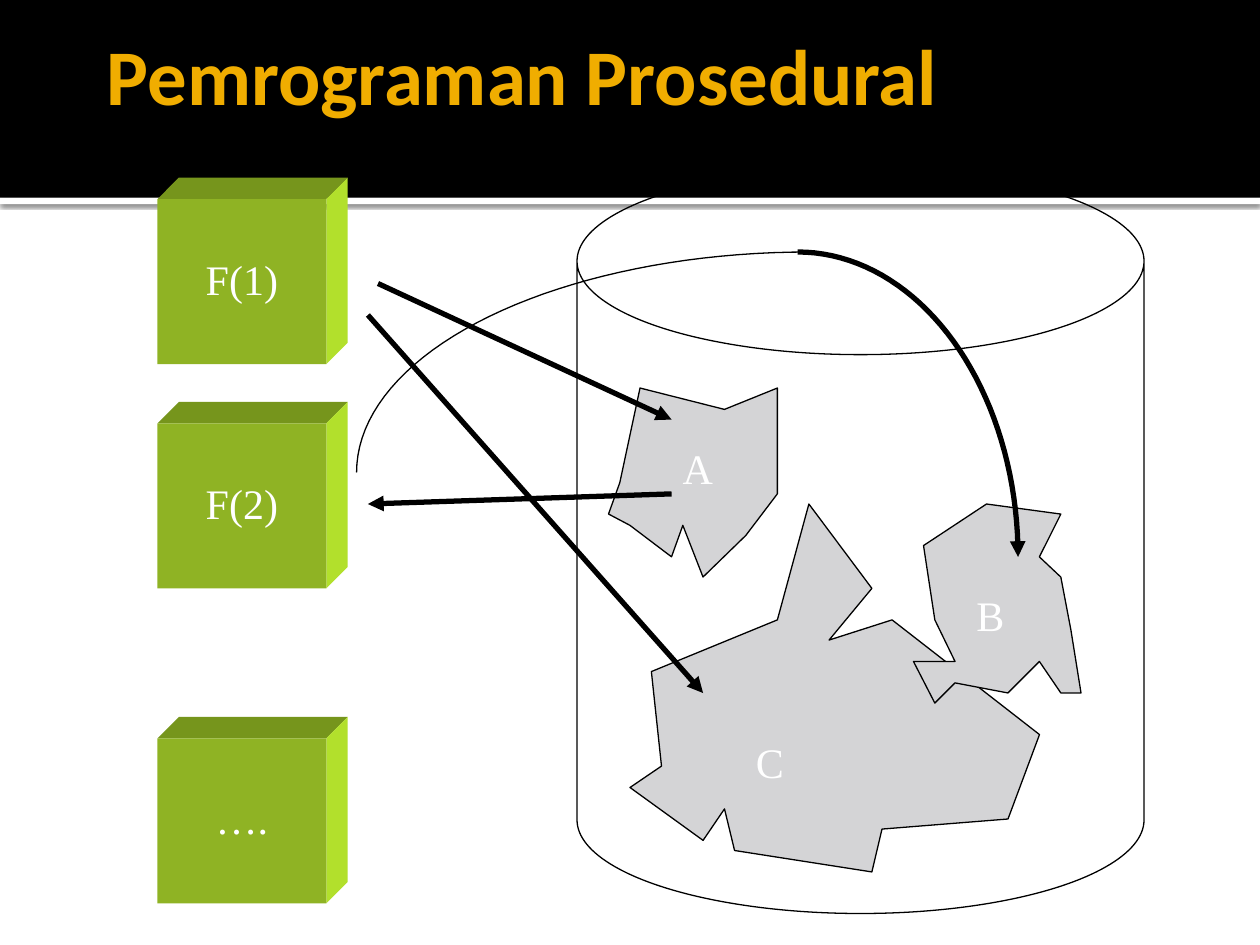
from dataclasses import dataclass
from math import cos, pi, sin

from lxml import etree
from pptx import Presentation
from pptx import util as u
from pptx.dml.color import RGBColor
from pptx.enum import shapes, text
from pptx.oxml.ns import qn

Point = tuple[float, float]
COLORS = {
    "black": "000000",
    "white": "FFFFFF",
    "gold": "F0AD00",
    "gray": "D4D4D6",
    "face": "8FB324",
    "top": "76951C",
    "side": "B2E02C",
}
SERIF = "Times New Roman"
DEPTH = 0.17


@dataclass
class Cube:
    name: str
    y: float
    x: float = 1.25
    w: float = 1.34
    h: float = 1.31


@dataclass
class Blob:
    points: list[Point]


@dataclass
class Label:
    name: str
    x: float
    y: float
    w: float


@dataclass
class Arrow:
    start: Point
    end: Point


@dataclass
class Curve:
    center: Point
    radius: Point
    turn: int
    width: float
    tip: bool


CUBES = [Cube("F(1)", 1.58), Cube("F(2)", 3.36), Cube("….", 5.86)]
BLOBS = [
    Blob([(5.25, 6.08), (5.17, 5.33), (6.17, 4.92), (6.42, 4), (6.92, 4.67),
          (6.58, 5.08), (7.08, 4.92), (8.25, 5.83), (8, 6.5), (7, 6.58),
          (6.92, 6.92), (5.83, 6.75), (5.75, 6.42), (5.58, 6.67), (5, 6.25)]),
    Blob([(7.42, 4.92), (7.33, 4.33), (7.83, 4), (8.42, 4.08), (8.25, 4.42),
          (8.42, 4.58), (8.5, 5), (8.58, 5.5), (8.42, 5.5), (8.25, 5.25),
          (8, 5.5), (7.58, 5.42), (7.42, 5.58), (7.25, 5.25), (7.58, 5.25)]),
    Blob([(4.92, 3.83), (5.08, 3.08), (5.75, 3.25), (6.17, 3.08), (6.17, 3.92),
          (5.92, 4.25), (5.58, 4.58), (5.42, 4.17), (5.33, 4.42), (5, 4.17),
          (4.83, 4.08)]),
]
LABELS = [Label("A", 5.32, 3.46, 0.44), Label("B", 7.65, 4.63, 0.42), Label("C", 5.9, 5.8, 0.42)]
ARROWS = [
    Arrow((3, 2.25), (5.33, 3.33)),
    Arrow((5.33, 3.92), (2.92, 4)),
    Arrow((2.92, 2.5), (5.58, 5.5)),
]
CURVES = [
    Curve((6.42, 3.75), (3.59, 1.75), -1, 0.75, False),
    Curve((6.33, 4.42), (1.75, 2.42), 1, 3, True),
]


def color(key: str) -> RGBColor:
    return RGBColor.from_string(COLORS[key])


def paint(shape, fill: str | None = None, line: float = 0) -> None:
    shape.shadow.inherit = False
    if fill:
        shape.fill.solid()
        shape.fill.fore_color.rgb = color(fill)
    else:
        shape.fill.background()
    if line:
        shape.line.color.rgb = color("black")
        shape.line.width = u.Pt(line)
    else:
        shape.line.fill.background()


def add_tip(shape) -> None:
    etree.SubElement(shape.line._get_or_add_ln(), qn("a:tailEnd"), type="triangle")


def add_text(frame, words: str, size: float, font: str, key: str, bold: bool = False):
    para = frame.paragraphs[0]
    run = para.add_run()
    run.text = words
    run.font.size = u.Pt(size)
    run.font.name = font
    run.font.bold = bold
    run.font.color.rgb = color(key)
    return para


def add_box(slide, kind, x: float, y: float, w: float, h: float):
    return slide.shapes.add_shape(kind, u.Inches(x), u.Inches(y), u.Inches(w), u.Inches(h))


def add_path(slide, points: list[Point], close: bool = True):
    first, *rest = [(u.Inches(x), u.Inches(y)) for x, y in points]
    form = slide.shapes.build_freeform(*first)
    form.add_line_segments(rest, close=close)
    return form.convert_to_shape()


def add_head(slide) -> None:
    rect = shapes.MSO_SHAPE.RECTANGLE
    strip = add_box(slide, rect, 0, 1.57, 10, 0.05)
    paint(strip, "white")
    glow = etree.SubElement(
        strip._element.spPr.find(qn("a:effectLst")), qn("a:outerShdw"),
        blurRad=str(u.Pt(2.5)), dist=str(u.Pt(0.8)), dir="5400000", algn="t", rotWithShape="0")
    tint = etree.SubElement(glow, qn("a:srgbClr"), val=COLORS["black"])
    etree.SubElement(tint, qn("a:alpha"), val="60000")
    paint(add_box(slide, rect, 0, 0, 10, 1.57), "black")
    title = slide.shapes.add_textbox(u.Inches(0.75), 0, u.Inches(8.5), u.Inches(1.17))
    frame = title.text_frame
    frame.word_wrap = True
    frame.vertical_anchor = text.MSO_ANCHOR.MIDDLE
    frame.margin_right = u.Inches(0.05)
    add_text(frame, "Pemrograman Prosedural", 45, "Calibri", "gold", True)


def add_cube(slide, cube: Cube) -> None:
    x, y, right, base = cube.x, cube.y, cube.x + cube.w, cube.y + cube.h
    back, roof = right + DEPTH, y - DEPTH
    paint(add_path(slide, [(x, y), (x + DEPTH, roof), (back, roof), (right, y)]), "top")
    paint(add_path(slide, [(right, y), (back, roof), (back, base - DEPTH), (right, base)]), "side")
    face = add_box(slide, shapes.MSO_SHAPE.RECTANGLE, x, y, cube.w, cube.h)
    paint(face, "face")
    frame = face.text_frame
    frame.word_wrap = True
    frame.vertical_anchor = text.MSO_ANCHOR.TOP
    frame.margin_top = u.Inches(0.43)
    add_text(frame, cube.name, 24, SERIF, "white").alignment = text.PP_ALIGN.CENTER


def add_label(slide, label: Label) -> None:
    box = slide.shapes.add_textbox(
        u.Inches(label.x), u.Inches(label.y), u.Inches(label.w), u.Inches(0.5))
    box.text_frame.word_wrap = False
    add_text(box.text_frame, label.name, 24, SERIF, "white")


def add_arrow(slide, arrow: Arrow) -> None:
    ends = [u.Inches(n) for n in (*arrow.start, *arrow.end)]
    line = slide.shapes.add_connector(shapes.MSO_CONNECTOR.STRAIGHT, *ends)
    line.line.color.rgb = color("black")
    line.line.width = u.Pt(3)
    add_tip(line)
    etree.SubElement(line._element.spPr, qn("a:effectLst"))


def add_curve(slide, curve: Curve, steps: int = 40) -> None:
    (x, y), (wide, high) = curve.center, curve.radius
    turns = [pi / 2 * i / steps for i in range(steps + 1)]
    points = [(x + curve.turn * wide * sin(t), y - high * cos(t)) for t in turns]
    path = add_path(slide, points, close=False)
    paint(path, line=curve.width)
    if curve.tip:
        add_tip(path)


def main() -> None:
    deck = Presentation()
    deck.slide_width, deck.slide_height = u.Inches(10), u.Inches(7.5)
    slide = deck.slides.add_slide(deck.slide_layouts[6])
    add_head(slide)
    for blob in BLOBS:
        paint(add_path(slide, blob.points), "gray", 0.75)
    can = add_box(slide, shapes.MSO_SHAPE.CAN, 4.58, 1.33, 4.5, 5.92)
    can.adjustments[0] = 0.33
    paint(can, line=0.75)
    for items, draw in ((CUBES, add_cube), (LABELS, add_label),
                        (ARROWS, add_arrow), (CURVES, add_curve)):
        for item in items:
            draw(slide, item)
    deck.save("out.pptx")


if __name__ == "__main__":
    main()
